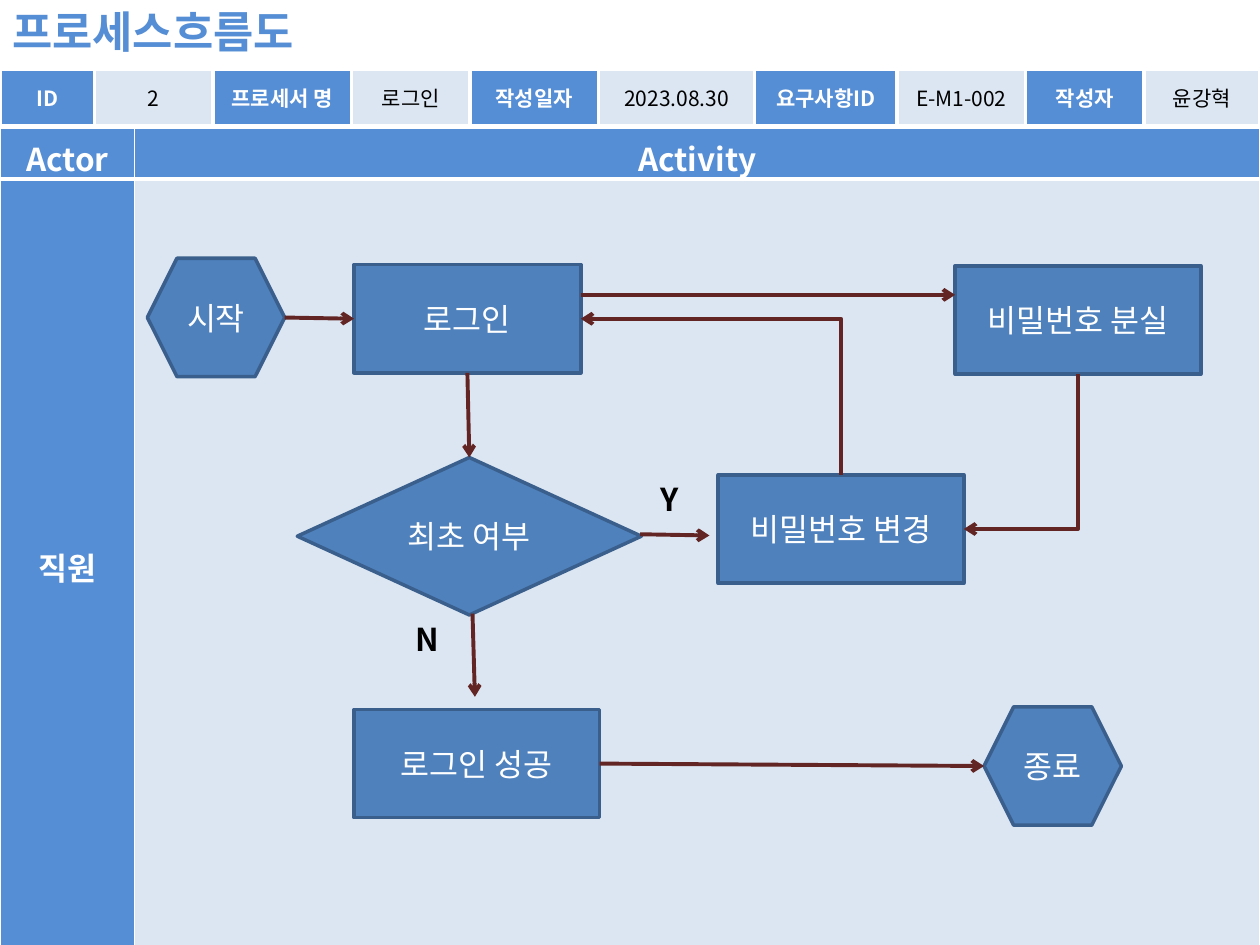
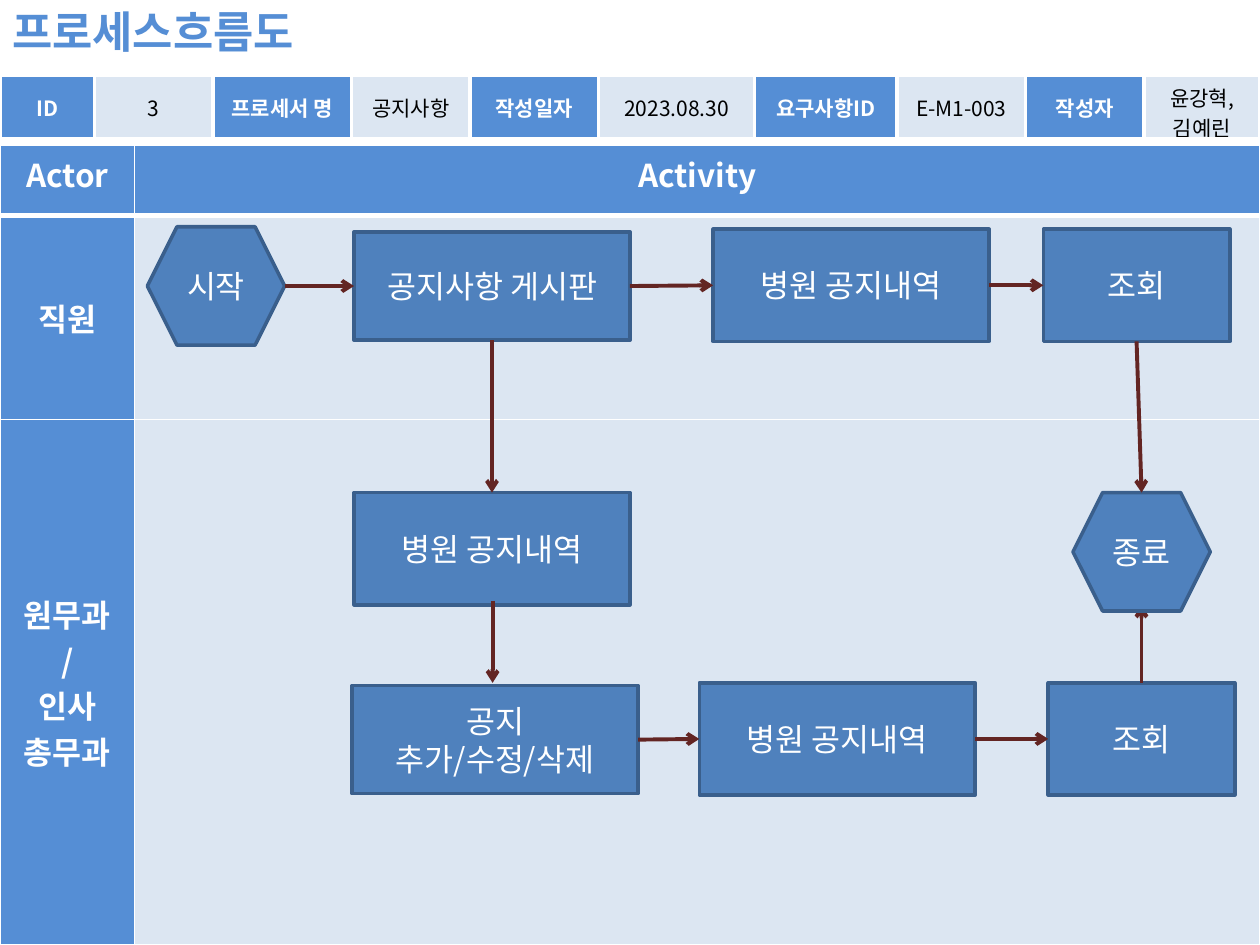
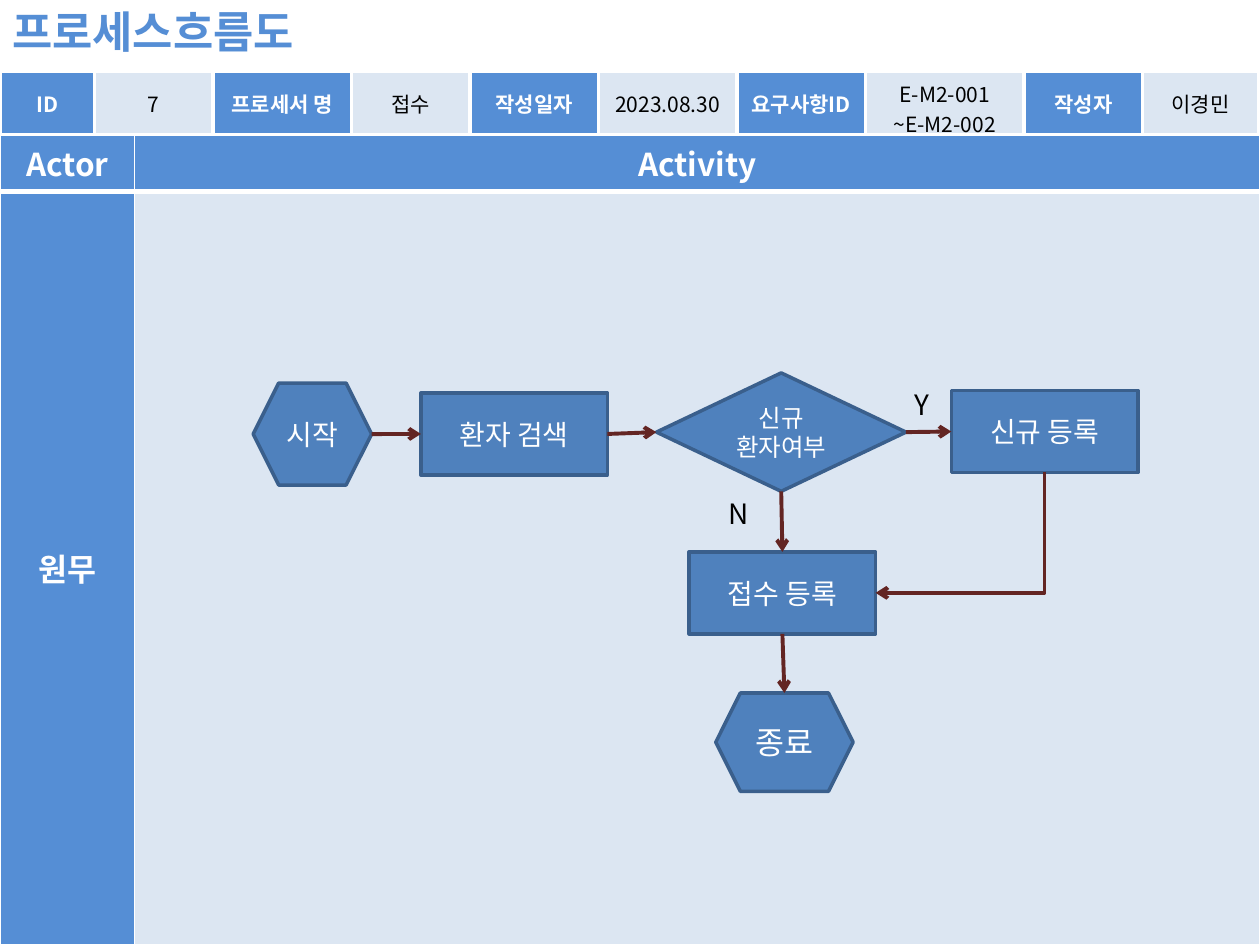
from lxml.etree import SubElement
from pptx import Presentation
from pptx.dml.color import RGBColor
from pptx.enum.shapes import MSO_CONNECTOR as Wire, MSO_SHAPE as Form
from pptx.enum.text import MSO_ANCHOR as Anchor, MSO_AUTO_SIZE as Fit, PP_ALIGN as Align
from pptx.oxml.ns import qn
from pptx.util import Pt

WHITE = RGBColor(0xFF, 0xFF, 0xFF)
BLACK = RGBColor(0, 0, 0)
BLUE = RGBColor(0x55, 0x8E, 0xD5)
PALE = RGBColor(0xDC, 0xE6, 0xF2)
NODE = RGBColor(0x4F, 0x81, 0xBD)
EDGE = RGBColor(0x3A, 0x5F, 0x8C)
WINE = RGBColor(0x63, 0x25, 0x23)
FONT = "Noto Sans CJK KR"
TOP, LEFT, BOTTOM, RIGHT = range(4)
HEADS = ["ID", "프로세서 명", "작성일자", "요구사항ID", "작성자"]
COLS = [54, 67.7, 79.2, 67.7, 73.4, 89.3, 81.4, 73.4, 67.7, 66.2]


class Chart:
    """Draw process flow slides in one shared style."""

    def __init__(self):
        self.deck = Presentation()
        self.deck.slide_width, self.deck.slide_height = Pt(720), Pt(540)

    def page(self):
        self.slide = self.deck.slides.add_slide(self.deck.slide_layouts[6])
        self.shapes = self.slide.shapes
        self.label("프로세스흐름도", 0, -0.7, 191.5, 37.4, 25, BLUE, True)

    def letter(self, frame, text, size, color, bold=False, align=Align.CENTER):
        frame.text = text
        for par in frame.paragraphs:
            par.alignment = align
            font = par.font
            font.name, font.size, font.bold = FONT, Pt(size), bold
            font.color.rgb = color
            props = par._p.get_or_add_pPr().get_or_add_defRPr()
            SubElement(props, qn("a:ea"), typeface=FONT)

    def label(self, text, x, y, w, h, size=18, color=BLACK, bold=False):
        frame = self.shapes.add_textbox(Pt(x), Pt(y), Pt(w), Pt(h)).text_frame
        frame.word_wrap, frame.auto_size = False, Fit.SHAPE_TO_FIT_TEXT
        self.letter(frame, text, size, color, bold, Align.LEFT)

    def cell(self, cell, text, size, head, edges, anchor=Anchor.MIDDLE):
        props = cell._tc.get_or_add_tcPr()
        for side, width in zip("LRTB", edges):
            line = SubElement(props, qn(f"a:ln{side}"), w=str(Pt(width)))
            fill = SubElement(line, qn("a:solidFill"))
            SubElement(fill, qn("a:srgbClr"), val=str(WHITE))
        cell.fill.solid()
        cell.fill.fore_color.rgb = BLUE if head else PALE
        cell.vertical_anchor = anchor
        self.letter(cell.text_frame, text, size, WHITE if head else BLACK, head)

    def table(self, y, cols, rows):
        frame = self.shapes.add_table(len(rows), len(cols), 0, Pt(y), Pt(720), Pt(sum(rows)))
        table = frame.table
        table.first_row = table.horz_banding = False
        for col, width in zip(table.columns, cols):
            col.width = Pt(width)
        for row, height in zip(table.rows, rows):
            row.height = Pt(height)
        return table

    def info(self, y, height, values, cols=COLS):
        table = self.table(y, cols, [height])
        texts = [text for pair in zip(HEADS, values) for text in pair]
        for i, text in enumerate(texts):
            self.cell(table.cell(0, i), text, 12, i % 2 == 0, [2.25] * 4)

    def lanes(self, y, head, actors):
        table = self.table(y, [77, 643], [head, *actors.values()])
        for col, text in enumerate(["Actor", "Activity"]):
            self.cell(table.cell(0, col), text, 18, True, [1, 1, 1, 3], Anchor.TOP)
        for row, actor in enumerate(actors, 1):
            edges = [1, 1, 3 if row == 1 else 1, 1]
            self.cell(table.cell(row, 0), actor, 18, True, edges)
            self.cell(table.cell(row, 1), "", 18, False, edges)

    def node(self, text, x, y, w, h, size=18, form=Form.RECTANGLE):
        node = self.shapes.add_shape(form, Pt(x), Pt(y), Pt(w), Pt(h))
        node.shadow.inherit = False
        node.fill.solid()
        node.fill.fore_color.rgb = NODE
        node.line.color.rgb, node.line.width = EDGE, Pt(2)
        node.text_frame.vertical_anchor = Anchor.MIDDLE
        self.letter(node.text_frame, text, size, WHITE)
        return node

    def hexa(self, text, x, y, w=78.5, h=67.7, size=18):
        return self.node(text, x, y, w, h, size, Form.HEXAGON)

    def choice(self, text, x, y, w, h, size=18):
        return self.node(text, x, y, w, h, size, Form.FLOWCHART_DECISION)

    def spot(self, end):
        node, side = end
        if not hasattr(node, "left"):
            return Pt(node), Pt(side)
        dx, dy = [(1, 0), (0, 1), (1, 2), (2, 1)][side]
        return node.left + node.width * dx // 2, node.top + node.height * dy // 2

    def wire(self, kind, start, end, tip):
        wire = self.shapes.add_connector(kind, *self.spot(start), *self.spot(end))
        wire.line.color.rgb, wire.line.width = WINE, Pt(2.25)
        props = wire._element.spPr
        SubElement(props.find(qn("a:ln")), qn(f"a:{tip}"), type="arrow")
        SubElement(props, qn("a:effectLst"))
        return wire

    def arrow(self, start, end):
        wire = self.wire(Wire.STRAIGHT, start, end, "tailEnd")
        for join, (node, side) in [(wire.begin_connect, start), (wire.end_connect, end)]:
            if hasattr(node, "left") and node.auto_shape_type != Form.HEXAGON:
                join(node, side)

    def bend(self, start, end):
        wire = self.wire(Wire.ELBOW, end, start, "headEnd")
        wire._element.spPr.find(qn("a:prstGeom")).set("prst", "bentConnector2")

    def chain(self, *nodes):
        for one, two in zip(nodes, nodes[1:]):
            self.arrow((one, RIGHT), (two, LEFT))


def login(c):
    c.page()
    c.lanes(73.4, 28.1, {"직원": 443.5})
    start = c.hexa("시작", 84.2, 147.6)
    enter = c.node("로그인", 202.3, 151.2, 129.6, 61.9)
    first = c.choice("최초 여부", 169.9, 261.4, 196.6, 90)
    change = c.node("비밀번호 변경", 410.4, 271.4, 140.4, 61.9)
    done = c.node("로그인 성공", 202.3, 405.4, 140.4, 61.9)
    lost = c.node("비밀번호 분실", 545.8, 151.9, 140.4, 61.9)
    end = c.hexa("종료", 562.3, 403.9)
    c.chain(start, enter)
    c.chain(done, end)
    c.arrow((enter, BOTTOM), (first, TOP))
    c.arrow((365.8, 305.3), (405.4, 306))
    c.arrow((270, 350.6), (271.4, 398.2))
    c.arrow((331.9, 168.5), (545.8, 168.5))
    c.bend((change, TOP), (enter, RIGHT))
    c.bend((lost, BOTTOM), (change, RIGHT))
    c.label("Y", 370.1, 270.7, 28.1, 28.8, bold=True)
    c.label("N", 230.4, 350.6, 28.1, 28.8, bold=True)
    c.info(39.6, 32.4, ["2", "로그인", "2023.08.30", "E-M1-002", "윤강혁"])


def notice(c):
    c.page()
    c.lanes(82.8, 40.3, {"직원": 116.6, "원무과\n/\n인사\n총무과": 300.2})
    c.info(43.2, 36, ["3", "공지사항", "2023.08.30", "E-M1-003", "윤강혁, 김예린"])
    start = c.hexa("시작", 84.2, 129.6)
    board = c.node("공지사항 게시판", 202.3, 132.5, 157.7, 61.9)
    news = c.node("병원 공지내역", 407.5, 131, 157.7, 64.1)
    view = c.node("조회", 596.2, 131, 106.6, 64.1)
    edit = c.node("공지\n추가/수정/삭제", 201.2, 391.7, 163.4, 61.9)
    posts = c.node("병원 공지내역", 202.3, 281.5, 157.7, 64.1)
    result = c.node("병원 공지내역", 399.6, 390.2, 157.7, 64.1)
    check = c.node("조회", 599, 390.2, 106.6, 64.1)
    c.chain(start, board, news, view)
    c.chain(edit, result, check)
    c.arrow((board, BOTTOM), (posts, TOP))
    c.arrow((281.5, 343.4), (281.5, 390.2))
    c.arrow((check, TOP), (652.3, 345.6))
    end = c.hexa("종료", 613.1, 281.5)
    c.arrow((view, BOTTOM), (end, TOP))


def intake(c):
    c.page()
    c.lanes(76.3, 33.1, {"원무": 430.6})
    values = ["7", "접수", "2023.08.30", "E-M2-001\n~E-M2-002", "이경민"]
    c.info(41, 36, values, COLS[:5] + [79.2, 73.4, 90.7] + COLS[8:])
    start = c.hexa("시작", 144.7, 218.9, 67.7, 58.3, 16)
    fresh = c.choice("신규\n환자여부", 375.1, 213.1, 142.6, 67.7, 14)
    enrol = c.node("신규 등록", 543.6, 223.2, 106.6, 46.8, 16)
    desk = c.node("접수 등록", 393.8, 315.4, 106.6, 46.8, 16)
    search = c.node("환자 검색", 240.5, 224.6, 106.6, 46.8, 16)
    end = c.hexa("종료", 409, 396, 78.5, 56.2)
    c.label("N", 409, 280.1, 26.6, 26.6, 16)
    c.label("Y", 515.5, 218.2, 23.8, 26.6, 16)
    c.chain(start, search, fresh, enrol)
    c.arrow((fresh, BOTTOM), (desk, TOP))
    c.arrow((desk, BOTTOM), (end, TOP))
    c.bend((enrol, BOTTOM), (desk, RIGHT))


def main():
    chart = Chart()
    for draw in (login, notice, intake):
        draw(chart)
    chart.deck.save("out.pptx")


if __name__ == "__main__":
    main()
